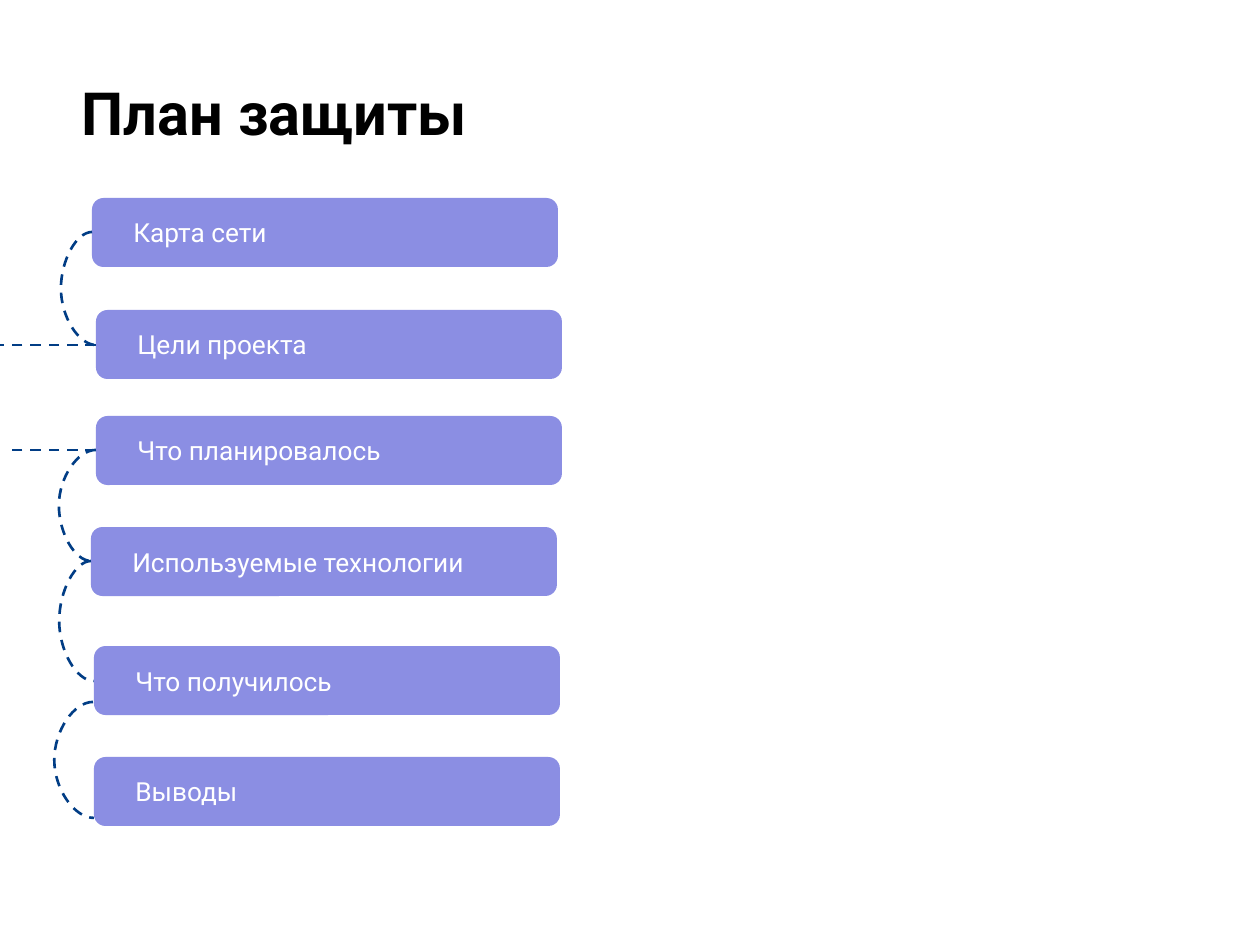
import pptx
import pptx.util
import pptx.dml.color
import pptx.enum.dml
import pptx.enum.shapes
import pptx.enum.text
import pptx.oxml.ns
from lxml import etree

PX = 914400 / 126
FONT = "Roboto"
BLACK = pptx.dml.color.RGBColor(0x00, 0x00, 0x00)
WHITE = pptx.dml.color.RGBColor(0xFF, 0xFF, 0xFF)
LILAC = pptx.dml.color.RGBColor(0x8B, 0x8E, 0xE3)
NAVY = pptx.dml.color.RGBColor(0x01, 0x3D, 0x85)

STEP_W, STEP_H = 466, 69
STEPS = [  # label, left, top
    ("Карта сети", 92, 198),
    ("Цели проекта", 96, 310),
    ("Что планировалось", 96, 416),
    ("Используемые технологии", 91, 527),
    ("Что получилось", 94, 646),
    ("Выводы", 94, 757),
]
CURVES = [  # start, end, leftmost x
    ((92, 232), (96, 345), 61),
    ((96, 450), (91, 561), 59),
    ((91, 561), (94, 681), 59),
    ((93, 702), (94, 818), 54),
]
EDGE_LINES = [(0, 96, 345), (6, 96, 450)]  # left, right, y


def px(n):
    return pptx.util.Emu(round(n * PX))


def set_text(shape, text, size, color, inset, bold=False):
    tf = shape.text_frame
    tf.word_wrap = True
    tf.vertical_anchor = pptx.enum.text.MSO_ANCHOR.MIDDLE
    tf.margin_left = tf.margin_right = px(inset)
    tf.margin_top = tf.margin_bottom = px(13)
    p = tf.paragraphs[0]
    p.text = text
    p.alignment = pptx.enum.text.PP_ALIGN.LEFT
    p.font.name = FONT
    p.font.size = pptx.util.Pt(size)
    p.font.bold = bold
    p.font.color.rgb = color


def add_title(s, x, y, w, h):
    tb = s.shapes.add_textbox(px(x), px(y), px(w), px(h))
    set_text(tb, "План защиты", 34, BLACK, 13, bold=True)


def add_step(s, label, x, y, w, h):
    sp = s.shapes.add_shape(pptx.enum.shapes.MSO_SHAPE.ROUNDED_RECTANGLE,
                            px(x), px(y), px(w), px(h))
    sp.adjustments[0] = 0.167
    sp.shadow.inherit = False
    sp.fill.solid()
    sp.fill.fore_color.rgb = LILAC
    sp.line.fill.background()
    set_text(sp, label, 15, WHITE, 38)


def add_dashed(s, kind, start, end):
    c = s.shapes.add_connector(kind, *map(px, start + end))
    c.line.color.rgb = NAVY
    c.line.width = pptx.util.Pt(1.5)
    c.line.dash_style = pptx.enum.dml.MSO_LINE.DASH
    etree.SubElement(c._element.spPr, pptx.oxml.ns.qn("a:effectLst"))
    return c


def add_curve(s, start, end, bulge_x):
    c = add_dashed(s, pptx.enum.shapes.MSO_CONNECTOR.CURVE, start, end)
    # The bend is measured from the start, as a share of the width
    bend = round((bulge_x - start[0]) / (end[0] - start[0]) * 100000)
    geom = c._element.spPr.find(pptx.oxml.ns.qn("a:prstGeom"))
    guides = geom.find(pptx.oxml.ns.qn("a:avLst"))
    gd = etree.SubElement(guides, pptx.oxml.ns.qn("a:gd"))
    gd.set("name", "adj1")
    gd.set("fmla", f"val {bend}")


def add_plan(s, x, y):
    # Steps
    for label, left, top in STEPS:
        add_step(s, label, x + left, y + top, STEP_W, STEP_H)
    # Links between steps
    for (x1, y1), (x2, y2), bulge in CURVES:
        add_curve(s, (x + x1, y + y1), (x + x2, y + y2), x + bulge)
    # Links running to the slide edge
    for left, right, line_y in EDGE_LINES:
        add_dashed(s, pptx.enum.shapes.MSO_CONNECTOR.STRAIGHT,
                   (x + right, y + line_y), (x + left, y + line_y))


def main():
    prs = pptx.Presentation()
    prs.slide_width, prs.slide_height = px(1260), px(945)
    s = prs.slides.add_slide(prs.slide_layouts[6])
    add_title(s, 69, 60, 1174, 103)
    add_plan(s, 0, 0)
    prs.save("out.pptx")


if __name__ == "__main__":
    main()
